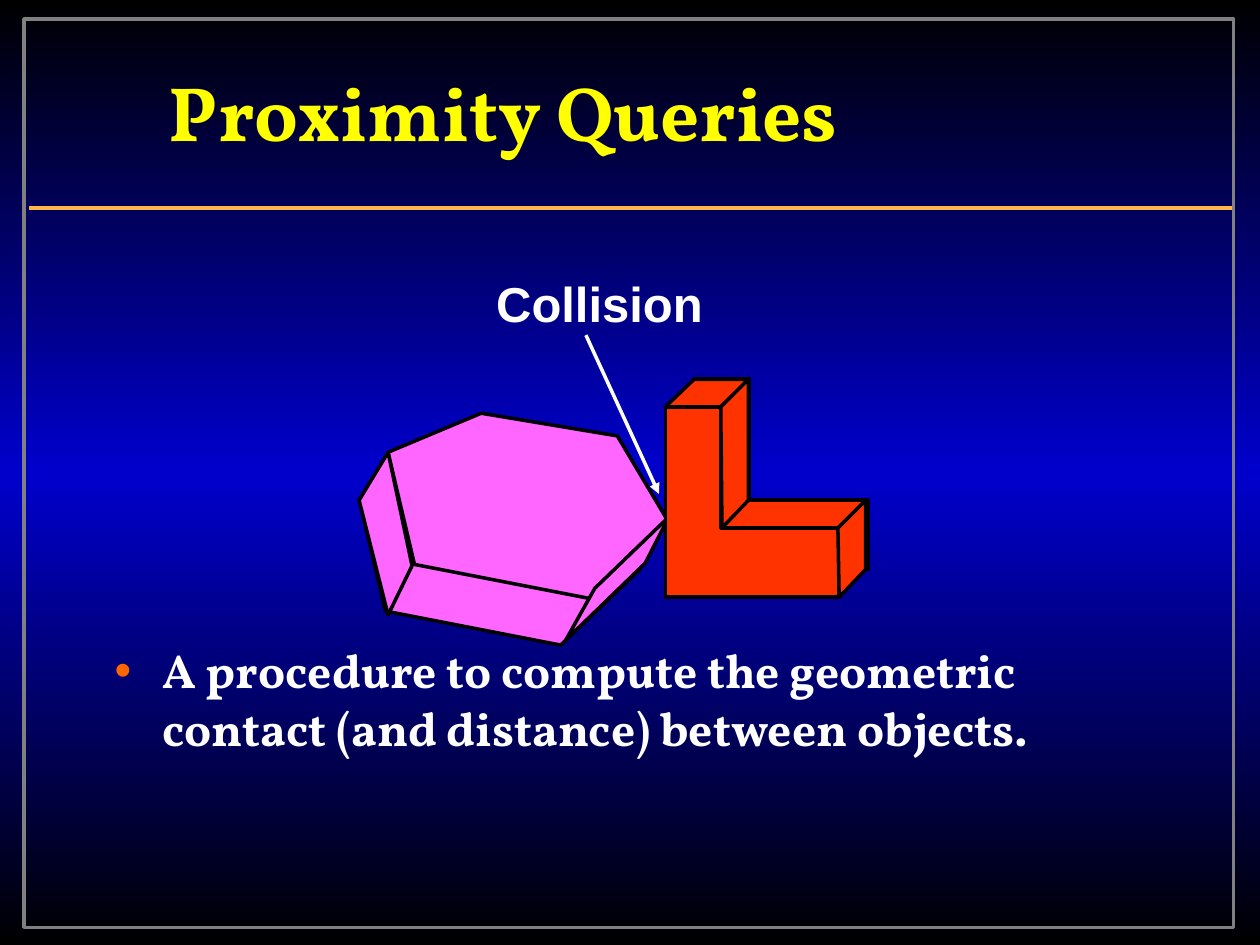
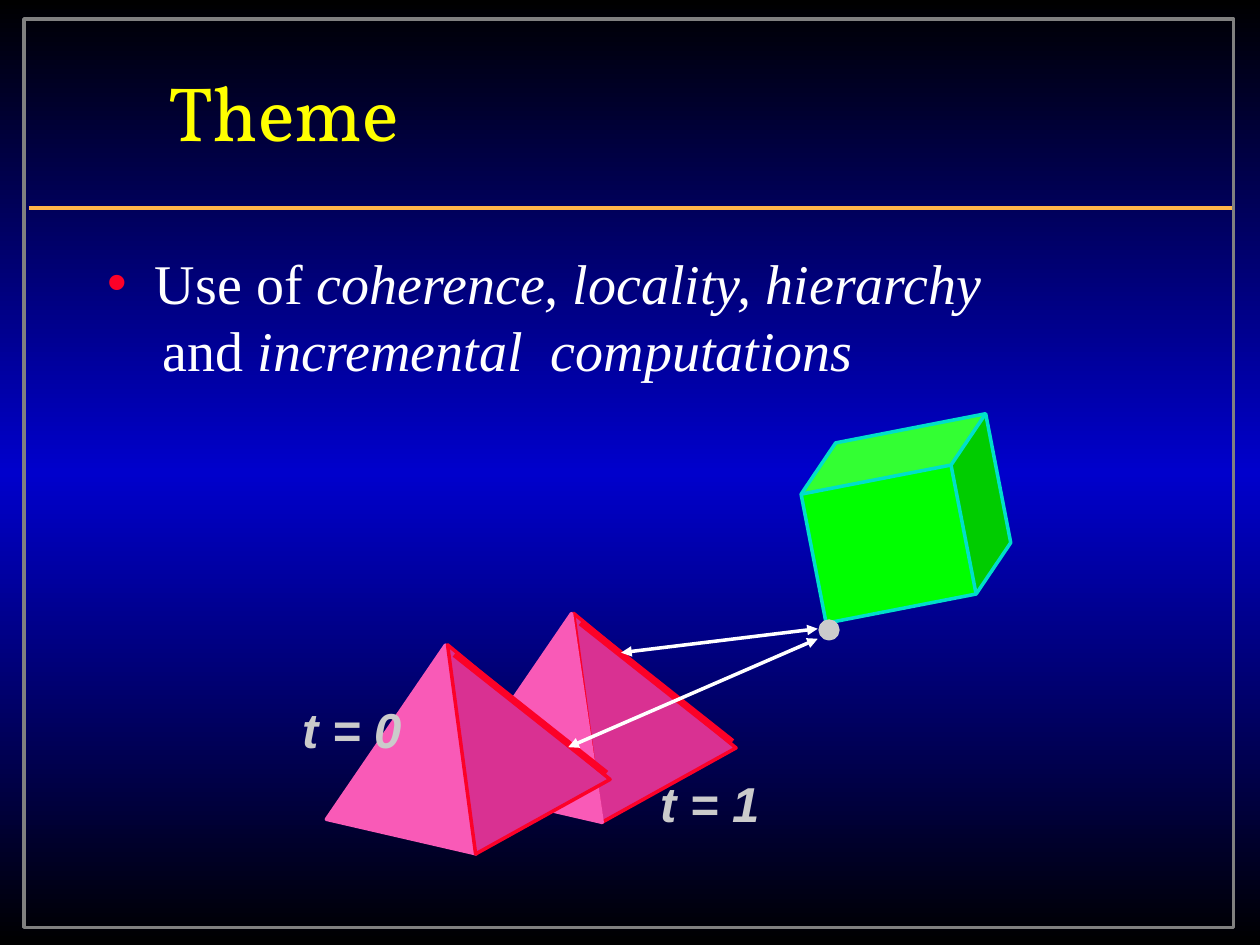
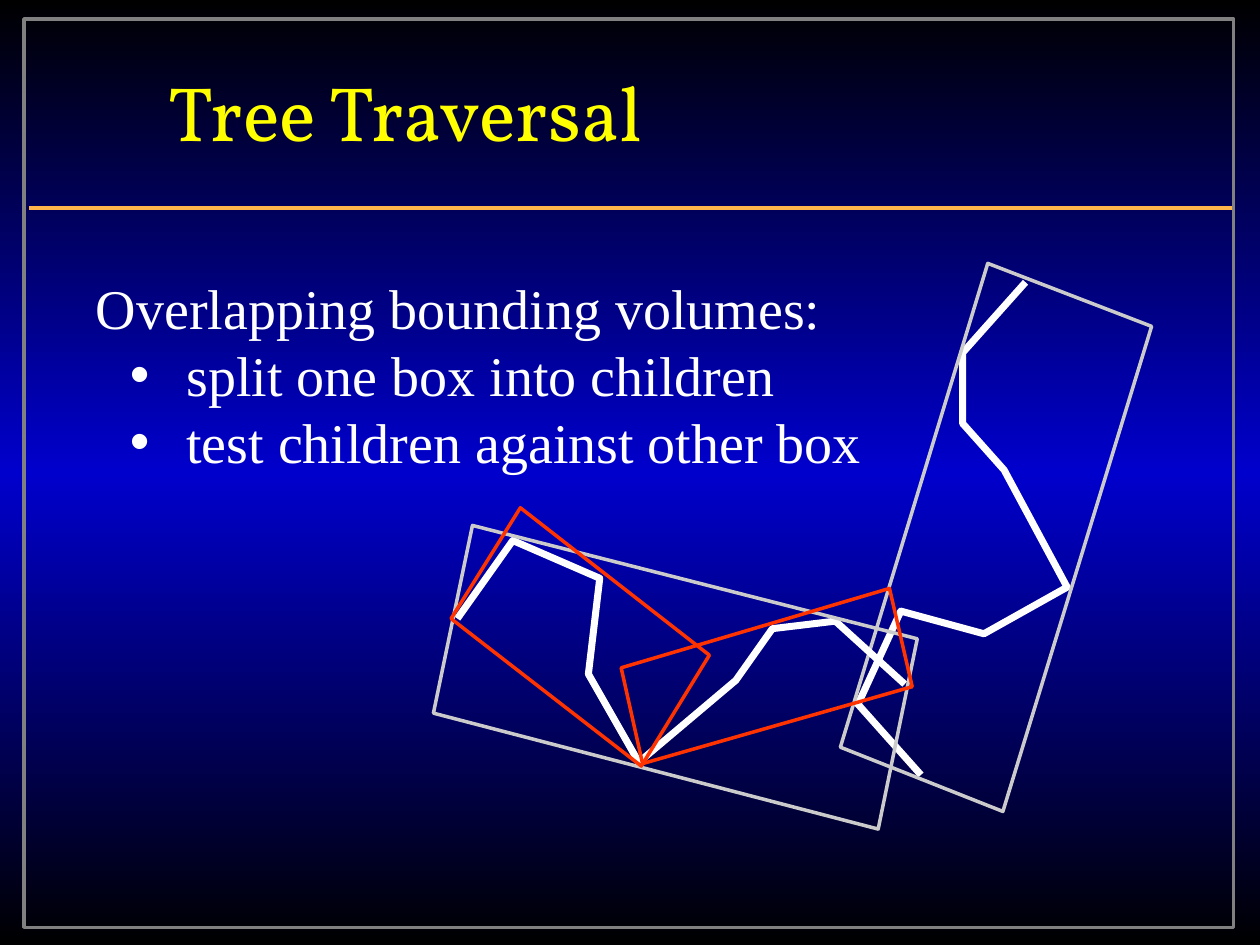
import copy

import pptx
import pptx.dml.color
import pptx.enum.shapes
import pptx.enum.text
import pptx.oxml
import pptx.oxml.ns
import pptx.util

Inches = pptx.util.Inches
Pt = pptx.util.Pt
SHAPE = pptx.enum.shapes.MSO_SHAPE
qn = pptx.oxml.ns.qn

COLORS = {
    "black": "000000", "blue": "0000CC", "frame": "808080", "rule": "FFB549",
    "title": "FFFF00", "white": "FFFFFF", "silver": "CBCBCB", "orange": "FF6600",
    "violet": "FF66FF", "vermilion": "FF3300", "red": "FC0128",
    "dark_pink": "D93192", "light_pink": "F95AB7", "green": "00FF00", "cyan": "00DFCA",
}
TITLE_FONT, LABEL_FONT, BODY_FONT = "Vollkorn", "Arial", "Times New Roman"


def rgb(name):
    return pptx.dml.color.RGBColor.from_string(COLORS[name])


def paint(sp, fill, line, width=2):
    sp.shadow.inherit = False
    if fill:
        sp.fill.solid()
        sp.fill.fore_color.rgb = rgb(fill)
    else:
        sp.fill.background()
    sp.line.color.rgb = rgb(line)
    sp.line.width = Pt(width)
    return sp


def add_preset(s, kind, x, y, w, h, fill, line, rotation=0):
    sp = s.shapes.add_shape(kind, Inches(x), Inches(y), Inches(w), Inches(h))
    sp.rotation = rotation
    return paint(sp, fill, line)


def add_outline(s, box, points, fill, line, width=2, close=True, shift=(0, 0)):
    pts = [(Inches(box[0] + shift[0] + x), Inches(box[1] + shift[1] + y)) for x, y in points]
    builder = s.shapes.build_freeform(*pts[0])
    builder.add_line_segments(pts[1:], close=close)
    return paint(builder.convert_to_shape(), fill, line, width)


def add_line(s, x1, y1, x2, y2, color, width=2, arrows=()):
    c = s.shapes.add_connector(pptx.enum.shapes.MSO_CONNECTOR.STRAIGHT,
                               Inches(x1), Inches(y1), Inches(x2), Inches(y2))
    c.line.color.rgb = rgb(color)
    c.line.width = Pt(width)
    ln = c.element.find(".//" + qn("a:ln"))
    for end in arrows:
        ln.append(pptx.oxml.parse_xml(
            f'<a:{end} {pptx.oxml.ns.nsdecls("a")} type="triangle"/>'))
    c.element.find(qn("p:spPr")).append(
        pptx.oxml.parse_xml(f'<a:effectLst {pptx.oxml.ns.nsdecls("a")}/>'))
    return c


def add_run(p, text, font, size, color, bold=False, italic=False):
    r = p.add_run()
    r.text = text
    r.font.name, r.font.size = font, Pt(size)
    r.font.bold, r.font.italic = bold, italic
    r.font.color.rgb = rgb(color)


def set_bullet(p, color=None, margin=0, indent=0):
    pPr = p._p.get_or_add_pPr()
    pPr.set("marL", str(Inches(margin)))
    pPr.set("indent", str(Inches(indent)))
    ns = pptx.oxml.ns.nsdecls("a")
    if color is None:
        pPr.append(pptx.oxml.parse_xml(f"<a:buNone {ns}/>"))
        return
    pPr.append(pptx.oxml.parse_xml(
        f'<a:buClr {ns}><a:srgbClr val="{COLORS[color]}"/></a:buClr>'))
    pPr.append(pptx.oxml.parse_xml(f'<a:buChar {ns} char="•"/>'))


def place(sp, x, y, w, h):
    sp.left, sp.top, sp.width, sp.height = map(Inches, (x, y, w, h))
    tf = sp.text_frame
    tf.word_wrap = True
    tf.auto_size = pptx.enum.text.MSO_AUTO_SIZE.NONE
    return tf


def add_label(s, text, x, y, w, color, italic=False):
    tf = s.shapes.add_textbox(Inches(x), Inches(y), Inches(w), Inches(0.56)).text_frame
    tf.word_wrap = False
    add_run(tf.paragraphs[0], text, LABEL_FONT, 28, color, True, italic)


def fill_body(s, box, items):
    tf = place(s.placeholders[1], *box)
    for i, (runs, bullet) in enumerate(items):
        p = tf.paragraphs[0] if i == 0 else tf.add_paragraph()
        p.space_before = Pt(0)
        set_bullet(p, *bullet)
        for run in runs:
            add_run(p, *run)


def new_slide(prs, title, bold=False):
    s = prs.slides.add_slide(prs.slide_layouts[1])
    tf = place(s.shapes.title, 1.24, 0.25, 7.42, 1.25)
    tf.vertical_anchor = pptx.enum.text.MSO_ANCHOR.MIDDLE
    p = tf.paragraphs[0]
    p.alignment = pptx.enum.text.PP_ALIGN.LEFT
    add_run(p, title, TITLE_FONT, 44, "title", bold)
    return s


def style_master(prs, s):
    master = prs.slide_master
    fill = master.background.fill
    fill.gradient()
    fill.gradient_angle = 90
    stops = master.element.find(".//" + qn("p:bg")).find(".//" + qn("a:gsLst"))
    stops.append(copy.deepcopy(stops[-1]))
    for stop, (pos, color) in zip(fill.gradient_stops,
                                  ((0, "black"), (0.5, "blue"), (1, "black"))):
        stop.position = pos
        stop.color.rgb = rgb(color)
    decor = (add_preset(s, SHAPE.RECTANGLE, 0.19, 0.15, 9.6, 7.21, None, "frame"),
             add_line(s, 0.23, 1.65, 9.78, 1.65, "rule"))
    for i, sp in enumerate(decor):
        sp.element.find(".//" + qn("p:cNvPr")).set("id", str(20 + i))
        master.shapes.element.insert(2 + i, sp.element)


def draw_hexagon_prism(s, x, y):
    face = [(0, 0.31), (0.74, 0), (1.82, 0.18), (2.23, 0.87), (1.6, 1.47), (0.21, 1.2)]
    left_side = [(0, 0.32), (0.23, -0.06), (0.42, 0.84), (0.23, 1.23)]
    right_side = [(1.87, 1.02), (2.46, 0.45), (2.27, 0.82), (1.64, 1.43)]
    for points, shift in ((face, (0, 0)), (face, (0.23, -0.37)),
                          (left_side, (0, 0)), (right_side, (0, 0))):
        add_outline(s, (x, y), points, "violet", "black", shift=shift)


def draw_l_block(s, x, y):
    face = [(0, 0), (0.44, 0), (0.44, 0.96), (1.38, 0.96), (1.38, 1.51), (0, 1.51)]
    top = [(0, 0.22), (0.23, 0), (0.67, 0), (0.44, 0.22)]
    inner = [(0.44, 0.22), (0.66, 0), (0.66, 0.96), (0.45, 1.18)]
    end = [(1.37, 1.18), (1.59, 0.96), (1.59, 1.51), (1.38, 1.73)]
    for points, shift in ((face, (0.23, 0)), (face, (0, 0.22)),
                          (top, (0, 0)), (inner, (0, 0)), (end, (0, 0))):
        add_outline(s, (x, y), points, "vermilion", "black", shift=shift)


def draw_pyramid(s, x, y, light_first):
    sides = [(0, 0, "light_pink", "light_pink", 13), (0.57, -0.08, "dark_pink", "red", 331)]
    for dx, dy, fill, line, angle in sides if light_first else sides[::-1]:
        add_preset(s, SHAPE.ISOSCELES_TRIANGLE, x + dx, y + dy, 1.22, 1.56,
                   fill, line, angle)
    add_line(s, x + 0.86, y + 0.09, x + 2.06, y + 1.04, "red", 4)


def draw_bounding_volumes(s, x, y):
    box = (x, y)
    right_chain = [(4.7, 0.15), (4.2, 0.71), (4.2, 1.27), (4.53, 1.64), (5.03, 2.57),
                   (4.37, 2.94), (3.71, 2.76), (3.37, 3.5), (3.87, 4.06)]
    left_chain = [(3.74, 3.34), (3.19, 2.84), (2.69, 2.9), (2.4, 3.31), (1.63, 3.96),
                  (1.23, 3.26), (1.32, 2.5), (0.63, 2.2), (0.19, 2.82)]
    right_box = [(4.4, 0), (5.7, 0.5), (4.52, 4.35), (3.23, 3.84)]
    left_box = [(3.84, 2.98), (3.53, 4.49), (0, 3.57), (0.31, 2.08)]
    children = [[(3.62, 2.58), (3.8, 3.36), (1.66, 3.97), (1.49, 3.21)],
                [(2.19, 3.11), (1.65, 3.99), (0.14, 2.82), (0.69, 1.94)]]
    for chain, volume in ((right_chain, right_box), (left_chain, left_box)):
        add_outline(s, box, chain, None, "white", 4, close=False)
        add_outline(s, box, volume, None, "silver")
    for child in children:
        add_outline(s, box, child, None, "vermilion")


def build_queries(prs):
    s = new_slide(prs, "Proximity Queries", True)
    style_master(prs, s)
    text = "A procedure to compute the geometric contact (and distance) between objects."
    fill_body(s, (0.81, 5.04, 8.5, 1.66), [
        ([(text, TITLE_FONT, 27.2, "white", True)], ("orange", 0.38, -0.38))])
    draw_hexagon_prism(s, 2.85, 3.65)
    draw_l_block(s, 5.28, 3.01)
    add_line(s, 4.65, 2.66, 5.23, 3.92, "white", arrows=("tailEnd",))
    add_label(s, "Collision", 3.84, 2.12, 1.84, "white")


def build_theme(prs):
    s = new_slide(prs, "Theme")
    style = (BODY_FONT, 32, "white", False)
    fill_body(s, (0.75, 1.92, 8.5, 4.5), [
        ([("Use of ", *style), ("coherence, locality, hierarchy", *style, True)],
         ("red", 0.38, -0.38)),
        ([("and ", *style), ("incremental  computations", *style, True)],
         (None, 0.44))])
    draw_pyramid(s, 3.75, 4.85, False)
    draw_pyramid(s, 2.75, 5.1, True)
    add_preset(s, SHAPE.CUBE, 6.41, 3.42, 1.56, 1.39, "green", "cyan", 349)
    add_preset(s, SHAPE.OVAL, 6.51, 4.93, 0.14, 0.14, "silver", "silver")
    for ends in ((4.93, 5.18, 6.49, 4.99), (4.51, 5.93, 6.49, 5.07)):
        add_line(s, *ends, "white", arrows=("headEnd", "tailEnd"))
    for text, x, y in (("t = 0", 2.3, 5.5), ("t = 1", 5.14, 6.09)):
        add_label(s, text, x, y, 0.99, "silver", True)


def build_traversal(prs):
    s = new_slide(prs, "Tree Traversal")
    style = (BODY_FONT, 32, "white")
    bullet = ("white", 0.72, -0.45)
    fill_body(s, (0.66, 2.12, 6.6, 1.72), [
        ([("Overlapping bounding volumes:", *style)], ()),
        ([("split one box into children", *style)], bullet),
        ([("test children against other box", *style)], bullet)])
    draw_bounding_volumes(s, 3.44, 2.09)


def main():
    prs = pptx.Presentation()
    prs.slide_width, prs.slide_height = Inches(10), Inches(7.5)
    for build in (build_queries, build_theme, build_traversal):
        build(prs)
    prs.save("out.pptx")


if __name__ == "__main__":
    main()
